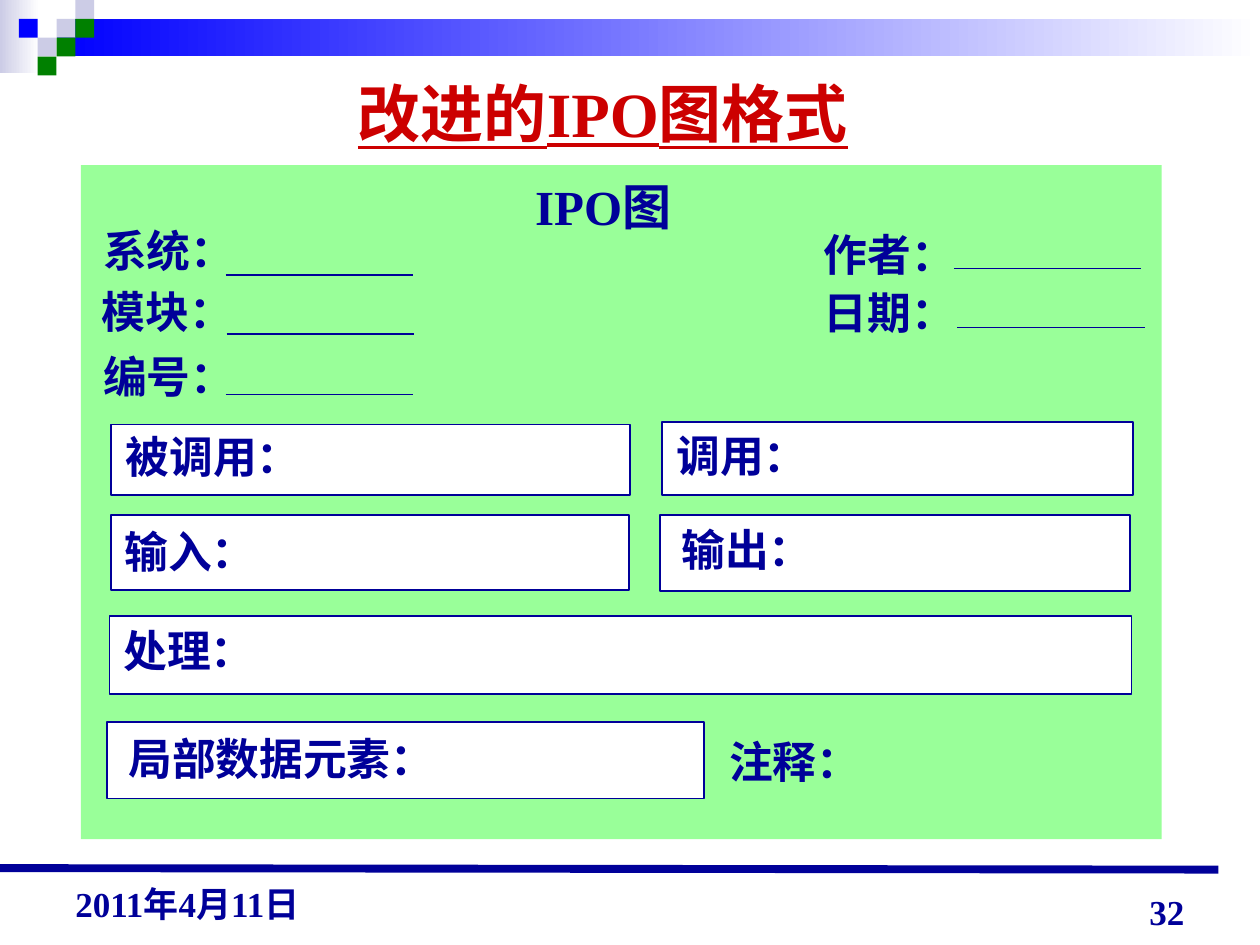
"""Build the slide showing the improved IPO chart form."""
from pptx import Presentation
from pptx.dml.color import RGBColor
from pptx.enum.shapes import MSO_CONNECTOR, MSO_SHAPE
from pptx.enum.text import MSO_ANCHOR, MSO_AUTO_SIZE, PP_ALIGN
from pptx.oxml.ns import qn
from pptx.util import Cm, Pt

RECT = MSO_SHAPE.RECTANGLE
STRAIGHT = MSO_CONNECTOR.STRAIGHT
LEFT, CENTER, RIGHT = PP_ALIGN.LEFT, PP_ALIGN.CENTER, PP_ALIGN.RIGHT
TOP, MIDDLE, BOTTOM = MSO_ANCHOR.TOP, MSO_ANCHOR.MIDDLE, MSO_ANCHOR.BOTTOM
GROW, FIXED = MSO_AUTO_SIZE.SHAPE_TO_FIT_TEXT, MSO_AUTO_SIZE.NONE
FONT = "Times New Roman"
COLORS = {
    "navy": "000099", "red": "CC0000", "mint": "99FF99", "white": "FFFFFF",
    "blue": "0000FF", "green": "008000", "lavender": "CCCCE6",
}
RGB = {name: RGBColor.from_string(value) for name, value in COLORS.items()}

prs = Presentation()
prs.slide_width, prs.slide_height = Cm(25.4), Cm(19.05)
s = prs.slides.add_slide(prs.slide_layouts[6])


def add_rect(x, y, w, h, color, outline=None):
    sp = s.shapes.add_shape(RECT, Cm(x), Cm(y), Cm(w), Cm(h))
    sp.shadow.inherit = False
    sp.fill.solid()
    sp.fill.fore_color.rgb = RGB[color]
    if outline:
        sp.line.color.rgb = RGB[outline]
        sp.line.width = Pt(1)
    else:
        sp.line.fill.background()
    return sp


def add_text(text, x, y, w, h, size=25, color="navy", align=LEFT, anchor=TOP,
             wrap=False, fit=GROW):
    tf = s.shapes.add_textbox(Cm(x), Cm(y), Cm(w), Cm(h)).text_frame
    tf.word_wrap = wrap
    tf.auto_size = fit
    tf.vertical_anchor = anchor
    p = tf.paragraphs[0]
    p.alignment = align
    r = p.add_run()
    r.text = text
    r.font.name, r.font.size, r.font.bold = FONT, Pt(size), True
    r.font.color.rgb = RGB[color]
    return r


for x, y, w, h, color in [
    (0, 0, 0.79, 1.47, "lavender"),
    (1.14, 0.38, 24.26, 0.76, "blue"),
]:
    fill = add_rect(x, y, w, h, color).fill
    fill.gradient()
    fill.gradient_angle = 180
    for stop, name in zip(fill.gradient_stops, ("white", color)):
        stop.color.rgb = RGB[name]

TILE = 0.38
for col, row, color in [
    (3, 1, "lavender"), (4, 0, "lavender"), (4, 1, "green"), (2, 2, "lavender"),
    (1, 1, "blue"), (3, 2, "green"), (2, 3, "green"),
]:
    add_rect(col * TILE, row * TILE, TILE, TILE, color)

add_rect(1.63, 3.33, 21.79, 13.59, "mint")
for x, y, w, h in [
    (2.24, 8.56, 10.46, 1.42), (13.34, 8.51, 9.5, 1.47),
    (2.24, 10.39, 10.44, 1.5), (13.31, 10.39, 9.47, 1.52),
    (2.21, 12.42, 20.6, 1.57), (2.16, 14.55, 12.04, 1.55),
]:
    add_rect(x, y, w, h, "white", "navy")

BLANK = 3.78
blanks = [(4.55, 5.54), (4.57, 6.73), (4.55, 7.95), (19.23, 5.41), (19.3, 6.6)]
lines = [(x, y, x + BLANK, y, 1) for x, y in blanks]
for x1, y1, x2, y2, width in [(0, 17.5, 24.56, 17.53, 4.5)] + lines:
    line = s.shapes.add_connector(STRAIGHT, Cm(x1), Cm(y1), Cm(x2), Cm(y2))
    line.line.color.rgb = RGB["navy"]
    line.line.width = Pt(width)
    props = line._element.spPr
    props.append(props.makeelement(qn("a:effectLst"), {}))

title = add_text("改进的IPO图格式", 3.58, 1.32, 17.15, 1.9, 36, "red",
                 CENTER, MIDDLE, True, FIXED)
title.font.underline = True
add_text("IPO图", 10.54, 3.43, 3.48, 1.42, 28)

for text, x, y, w in [
    ("系统：", 1.83, 4.39, 3.15), ("模块：", 1.8, 5.61, 3.15),
    ("编号：", 1.83, 6.93, 3.15), ("作者：", 16.36, 4.47, 3.15),
    ("日期：", 16.36, 5.64, 3.15), ("被调用：", 2.29, 8.53, 4.04),
    ("调用：", 13.39, 8.51, 3.15), ("输入：", 2.26, 10.46, 3.15),
    ("输出：", 13.49, 10.41, 3.15), ("处理：", 2.24, 12.45, 3.15),
    ("注释：", 14.45, 14.68, 3.15),
]:
    add_text(text, x, y, w, 1.3)
add_text("局部数据元素：", 2.34, 14.63, 9.78, 1.3, wrap=True)

for text, x, y, h, align in [
    ("2011年4月11日", 1.27, 17.45, 1.32, LEFT),
    ("32", 18.21, 17.65, 1.27, RIGHT),
]:
    add_text(text, x, y, 5.92, h, 20, "navy", align, BOTTOM, True, FIXED)

prs.save("out.pptx")
